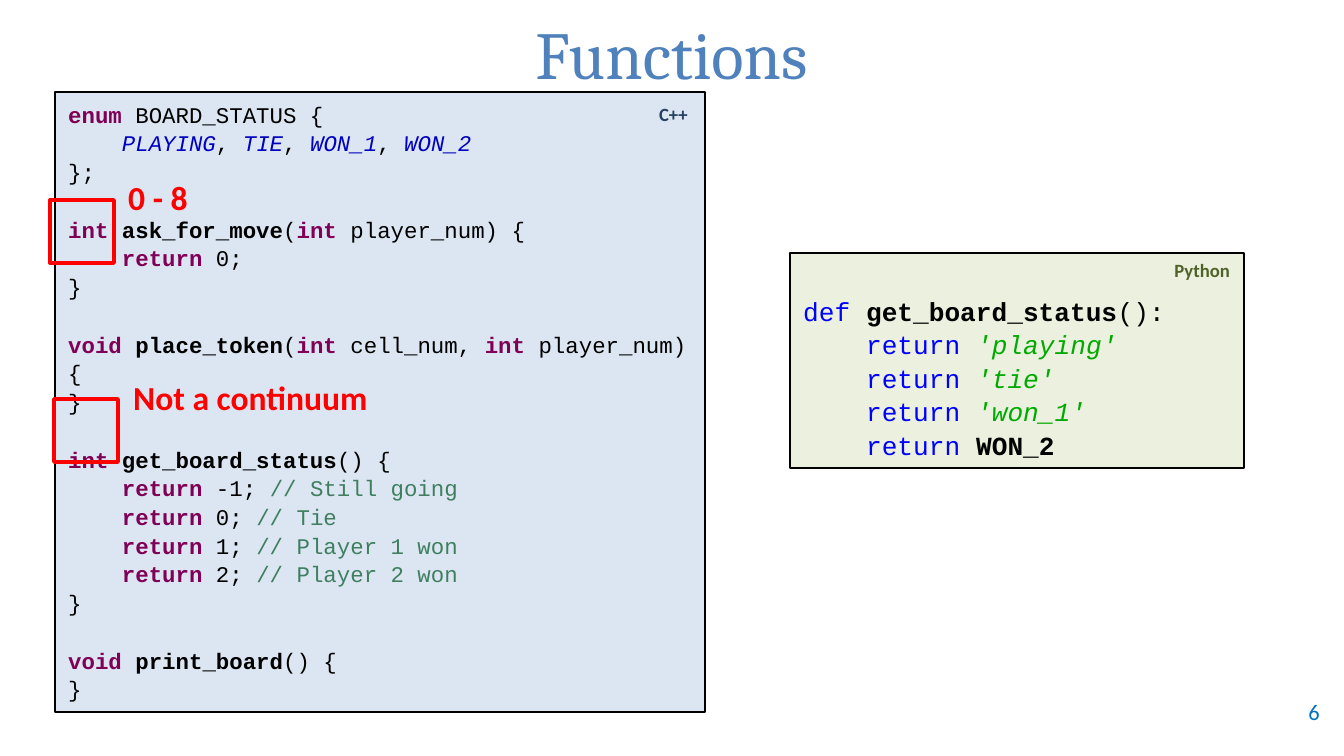
"""Build a slide comparing C++ and Python functions of a board game."""
from pptx import Presentation
from pptx.dml.color import RGBColor
from pptx.enum.shapes import MSO_SHAPE as Shape
from pptx.enum.text import MSO_ANCHOR as Anchor, PP_ALIGN as Align
from pptx.util import Emu, Pt

BLACK = RGBColor(0x00, 0x00, 0x00)
RED = RGBColor(0xFF, 0x00, 0x00)
TITLE_BLUE = RGBColor(0x4F, 0x81, 0xBD)
NUMBER_BLUE = RGBColor(0x00, 0x70, 0xC0)
CPP_FILL = RGBColor(0xDC, 0xE6, 0xF2)
CPP_LABEL = RGBColor(0x25, 0x40, 0x61)
PYTHON_FILL = RGBColor(0xEB, 0xF1, 0xDE)
PYTHON_LABEL = RGBColor(0x4F, 0x62, 0x28)
PURPLE = RGBColor(0x7F, 0x00, 0x55)
CONSTANT_BLUE = RGBColor(0x00, 0x00, 0xC0)
COMMENT_GREEN = RGBColor(0x3F, 0x7F, 0x5F)
KEYWORD_BLUE = RGBColor(0x00, 0x00, 0xFF)
STRING_GREEN = RGBColor(0x00, 0xAA, 0x00)

PLAIN = (BLACK, False, False)
NAME = (BLACK, True, False)
CPP_KEYWORD = (PURPLE, True, False)
CONSTANT = (CONSTANT_BLUE, False, True)
COMMENT = (COMMENT_GREEN, False, False)
PYTHON_KEYWORD = (KEYWORD_BLUE, False, False)
STRING = (STRING_GREEN, False, True)

INDENT = ("    ", PLAIN)
COMMA = (", ", PLAIN)
CLOSE = [("}", PLAIN)]
INT = ("int ", CPP_KEYWORD)
VOID = ("void ", CPP_KEYWORD)
RETURN = ("return", CPP_KEYWORD)
RESULTS = [("-1", "Still going"), ("0", "Tie"), ("1", "Player 1 won"), ("2", "Player 2 won")]
STATUSES = [("'playing'", STRING), ("'tie'", STRING), ("'won_1'", STRING), ("WON_2", NAME)]

CPP_BLOCKS = [
    [
        [("enum", CPP_KEYWORD), (" BOARD_STATUS {", PLAIN)],
        [INDENT, ("PLAYING", CONSTANT), COMMA, ("TIE", CONSTANT), COMMA,
         ("WON_1", CONSTANT), COMMA, ("WON_2", CONSTANT)],
        [("};", PLAIN)],
    ],
    [
        [INT, ("ask_for_move", NAME), ("(", PLAIN), INT, ("player_num) {", PLAIN)],
        [INDENT, RETURN, (" 0;", PLAIN)],
        CLOSE,
    ],
    [
        [VOID, ("place_token", NAME), ("(", PLAIN), INT, ("cell_num, ", PLAIN),
         INT, ("player_num) {", PLAIN)],
        CLOSE,
    ],
    [
        [INT, ("get_board_status", NAME), ("() {", PLAIN)],
        *[[INDENT, RETURN, (f" {value}; ", PLAIN), (f"// {meaning}", COMMENT)]
          for value, meaning in RESULTS],
        CLOSE,
    ],
    [[VOID, ("print_board", NAME), ("() {", PLAIN)], CLOSE],
]
PYTHON_BLOCKS = [[
    [("def ", PYTHON_KEYWORD), ("get_board_status", NAME), ("():", PLAIN)],
    *[[INDENT, ("return ", PYTHON_KEYWORD), status] for status in STATUSES],
]]

PANELS = [
    ((55, 92, 650, 620), CPP_FILL, CPP_BLOCKS, 12, 7),
    ((790, 253, 454, 215), PYTHON_FILL, PYTHON_BLOCKS, 14, 40),
]
MARKERS = [(50, 200, 64, 63), (54, 399, 64, 63)]
LABELS = [
    ("6", (1243, 692, 90, 40), 12, NUMBER_BLUE, False, Align.RIGHT, Anchor.MIDDLE),
    ("0 - 8", (115, 170, 112, 54), 18, RED, True, Align.LEFT, Anchor.TOP),
    ("Not a continuum", (120, 370, 314, 54), 18, RED, True, Align.LEFT, Anchor.TOP),
    ("C++", (596, 96, 105, 36), 10, CPP_LABEL, True, Align.RIGHT, Anchor.TOP),
    ("Python", (1106, 252, 137, 36), 10, PYTHON_LABEL, True, Align.RIGHT, Anchor.TOP),
]
BLANK_LINE = 1.28


def px(length):
    return Emu(round(length * 914400 / 134.4))


def place(box):
    return [px(length) for length in box]


def set_font(font, name, size, color, bold=False, italic=False):
    font.name, font.size = name, Pt(size)
    font.color.rgb, font.bold, font.italic = color, bold, italic


def add_box(slide, box, line_color, line_width):
    shape = slide.shapes.add_shape(Shape.RECTANGLE, *place(box))
    shape.shadow.inherit = False
    shape.fill.background()
    shape.line.color.rgb = line_color
    shape.line.width = Pt(line_width)
    return shape


def add_panel(slide, box, fill, blocks, size, top):
    shape = add_box(slide, box, BLACK, 0.75)
    shape.fill.solid()
    shape.fill.fore_color.rgb = fill
    frame = shape.text_frame
    frame.word_wrap = True
    frame.vertical_anchor = Anchor.TOP
    frame.margin_top = px(top)
    paragraph = None
    for block in blocks:
        for number, line in enumerate(block):
            starts_block = paragraph is not None and number == 0
            paragraph = frame.add_paragraph() if paragraph else frame.paragraphs[0]
            paragraph.alignment = Align.LEFT
            paragraph.line_spacing = 1.07
            if starts_block:
                paragraph.space_before = Pt(round(size * BLANK_LINE, 1))
            for text, style in line:
                run = paragraph.add_run()
                run.text = text
                set_font(run.font, "Courier New", size, *style)


def add_label(slide, text, box, size, color, bold, alignment, anchor):
    frame = slide.shapes.add_textbox(*place(box)).text_frame
    frame.word_wrap = True
    frame.vertical_anchor = anchor
    paragraph = frame.paragraphs[0]
    paragraph.text = text
    paragraph.alignment = alignment
    set_font(paragraph.font, "Calibri", size, color, bold)


def main():
    presentation = Presentation()
    presentation.slide_width, presentation.slide_height = px(1344), px(756)
    slide = presentation.slides.add_slide(presentation.slide_layouts[5])
    title = slide.shapes.title
    title.left, title.top, title.width, title.height = place((11, 8, 1321, 90))
    title.text_frame.text = "Functions"
    title.text_frame.vertical_anchor = Anchor.MIDDLE
    paragraph = title.text_frame.paragraphs[0]
    paragraph.alignment = Align.CENTER
    set_font(paragraph.font, "Cambria", 36, TITLE_BLUE)
    for panel in PANELS:
        add_panel(slide, *panel)
    for marker in MARKERS:
        add_box(slide, marker, RED, 2)
    for label in LABELS:
        add_label(slide, *label)
    presentation.save("out.pptx")


if __name__ == "__main__":
    main()
